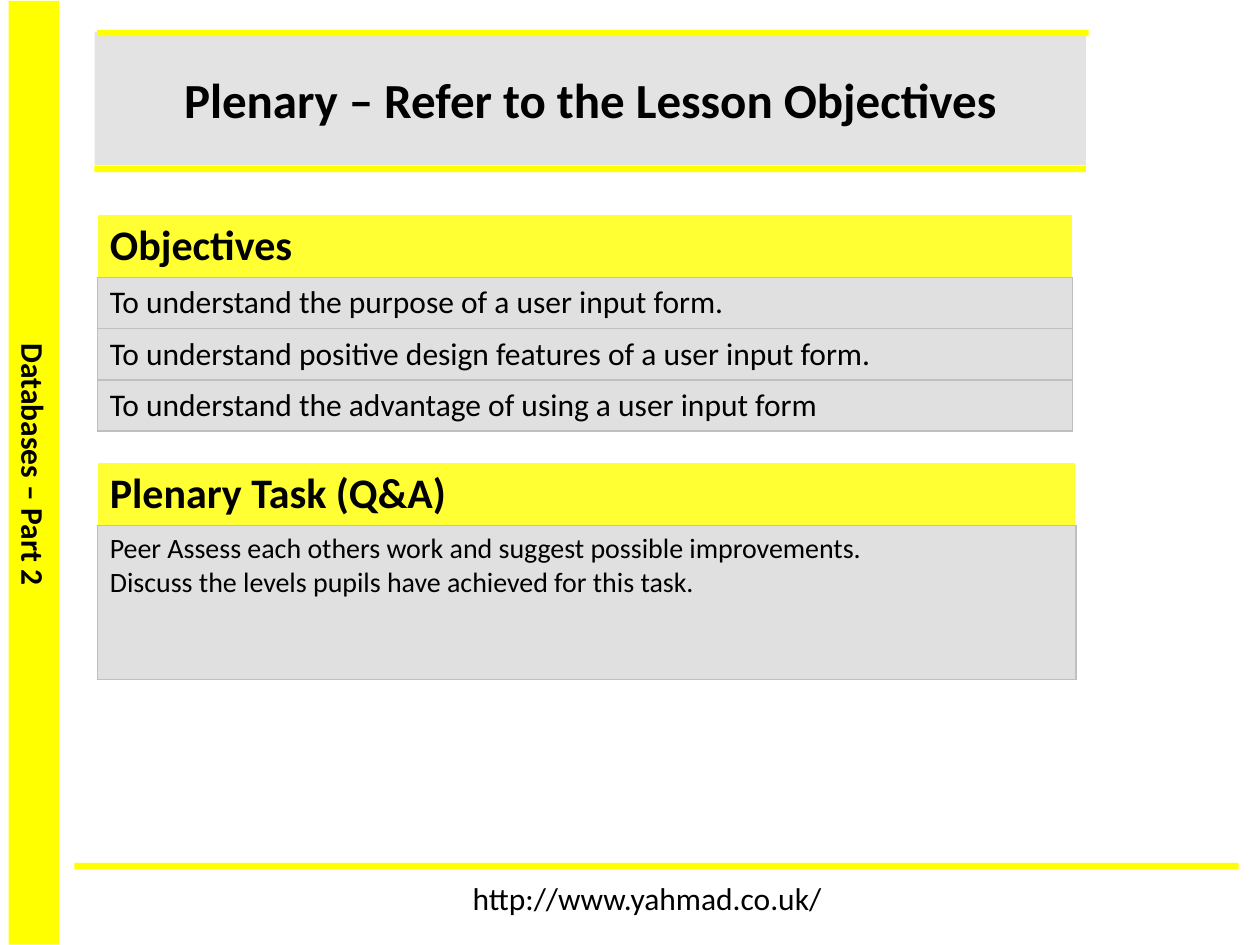
from lxml.etree import SubElement
from pptx import Presentation
from pptx.dml.color import RGBColor
from pptx.enum.shapes import MSO_SHAPE
from pptx.enum.text import MSO_ANCHOR, MSO_AUTO_SIZE, PP_ALIGN
from pptx.oxml.ns import qn
from pptx.util import Pt

YELLOW, GREY, BORDER, WHITE, BLACK = "FFFF00", "D9D9D9", "BFBFBF", "FFFFFF", "000000"
HEADER_H = 29.5


def rgb(color):
    return RGBColor.from_string(color)


def set_fill(obj, color, opacity=100):
    """Fill a shape or cell; opacity is a percentage."""
    obj.fill.solid()
    obj.fill.fore_color.rgb = rgb(color)
    if opacity < 100:
        clr = obj.fill._xPr.find(qn("a:solidFill")).find(qn("a:srgbClr"))
        SubElement(clr, qn("a:alpha"), val=str(opacity * 1000))


def set_text(tf, lines, size, bold=False, align=PP_ALIGN.LEFT):
    for i, line in enumerate(lines):
        p = tf.paragraphs[0] if i == 0 else tf.add_paragraph()
        p.text = line
        p.alignment = align
        p.font.name = "Calibri"
        p.font.size = Pt(size)
        p.font.bold = bold
        p.font.color.rgb = rgb(BLACK)


def add_bar(slide, x, y, w, h):
    sp = slide.shapes.add_shape(MSO_SHAPE.RECTANGLE, Pt(x), Pt(y), Pt(w), Pt(h))
    sp.shadow.inherit = False
    set_fill(sp, YELLOW)
    sp.line.fill.background()


def add_label(slide, text, x, y, w, h, bold=False):
    sp = slide.shapes.add_textbox(Pt(x), Pt(y), Pt(w), Pt(h))
    sp.text_frame.word_wrap = False
    set_text(sp.text_frame, [text], 18, bold, PP_ALIGN.CENTER)
    return sp


def set_title(slide, text):
    title = slide.shapes.title
    title.left, title.top, title.width, title.height = Pt(54), Pt(18), Pt(566.6), Pt(76.5)
    set_fill(title, GREY, 72)
    tf = title.text_frame
    tf.auto_size = MSO_AUTO_SIZE.NONE
    tf.vertical_anchor = MSO_ANCHOR.MIDDLE
    set_text(tf, [text], 28, True, PP_ALIGN.CENTER)


def set_borders(cell, side_color):
    """Draw the bottom edge grey and the other three in side_color."""
    tc_pr = cell._tc.get_or_add_tcPr()
    for edge in "LRTB":
        ln = SubElement(tc_pr, qn(f"a:ln{edge}"), w=str(Pt(1)))
        fill = SubElement(ln, qn("a:solidFill"))
        SubElement(fill, qn("a:srgbClr"), val=BORDER if edge == "B" else side_color)


def add_panel(slide, heading, rows, y, w, row_h, size):
    """Add a one-column table; each row is a list of paragraphs."""
    height = HEADER_H + row_h * len(rows)
    table = slide.shapes.add_table(len(rows) + 1, 1, Pt(55.6), Pt(y), Pt(w), Pt(height)).table
    table.horz_banding = False
    for i, lines in enumerate([[heading], *rows]):
        is_header = i == 0
        table.rows[i].height = Pt(HEADER_H if is_header else row_h)
        cell = table.cell(i, 0)
        set_borders(cell, WHITE if is_header else BORDER)
        set_fill(cell, YELLOW if is_header else GREY, 80)
        set_text(cell.text_frame, lines, 24 if is_header else size, is_header)


def main():
    prs = Presentation()
    prs.slide_width, prs.slide_height = Pt(720), Pt(540)
    slide = prs.slides.add_slide(prs.slide_layouts[5])

    add_bar(slide, 4.9, 0.5, 28.8, 539.3)
    side = add_label(slide, "Databases – Part 2", -57.7, 250.9, 154, 29, bold=True)
    side.rotation = 90
    add_bar(slide, 42.5, 493, 665.3, 3.6)
    add_label(slide, "http://www.yahmad.co.uk/", 261.4, 499, 216.7, 29)

    set_title(slide, "Plenary – Refer to the Lesson Objectives")
    add_bar(slide, 54, 94.8, 566.6, 3.6)
    add_bar(slide, 55.6, 17.1, 566.6, 3.6)

    add_panel(slide, "Objectives", [
        ["To understand the purpose of a user input form."],
        ["To understand positive design features of a user input form."],
        ["To understand the advantage of using a user input form"],
    ], y=122.6, w=557.3, row_h=29.2, size=18)
    add_panel(slide, "Plenary Task (Q&A)", [
        ["Peer Assess each others work and suggest possible improvements.",
         "Discuss the levels pupils have achieved for this task."],
    ], y=264.4, w=559.4, row_h=87.8, size=16)

    prs.save("out.pptx")


if __name__ == "__main__":
    main()
